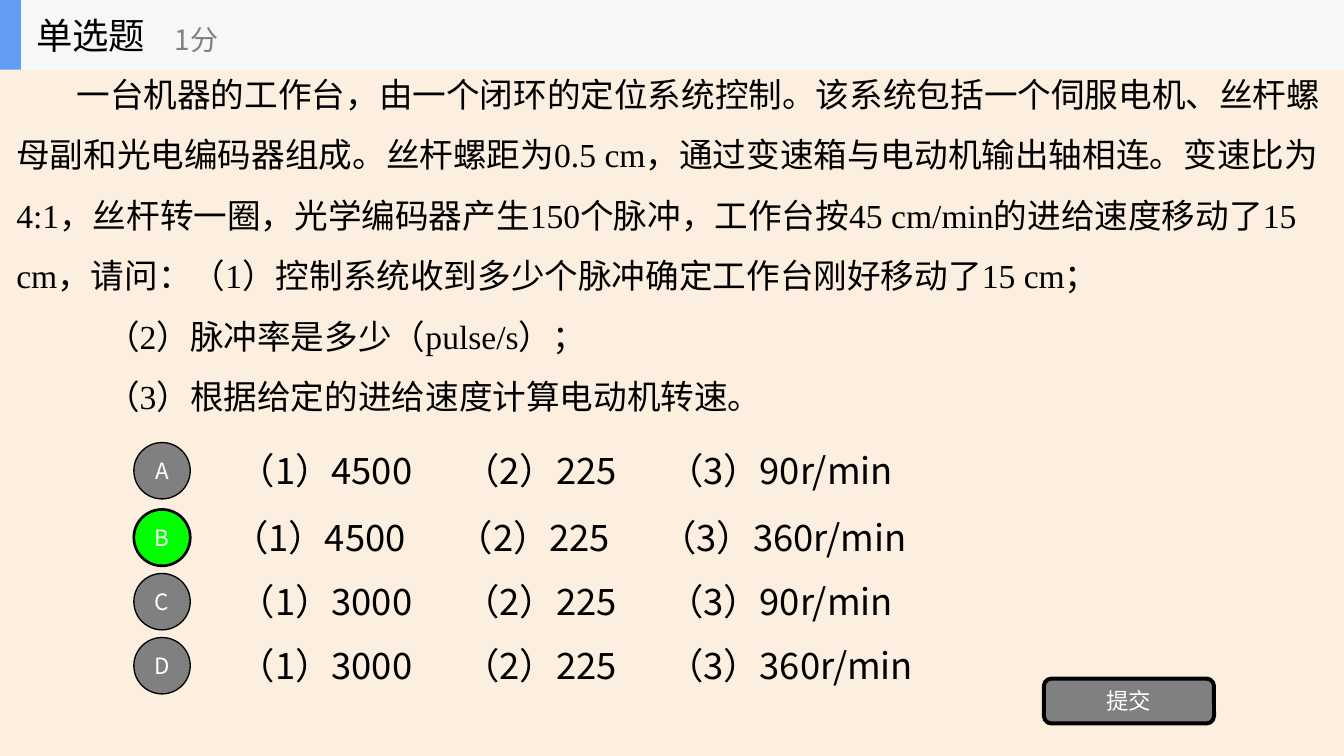
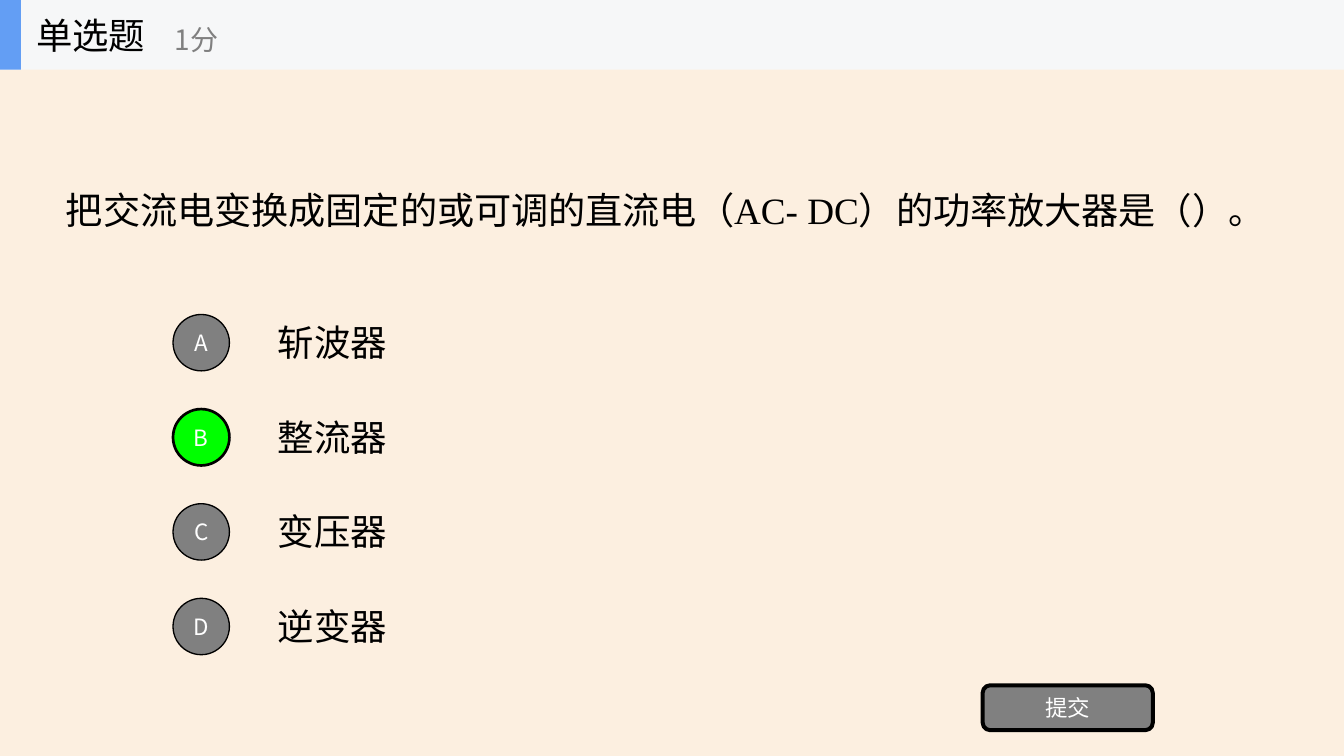
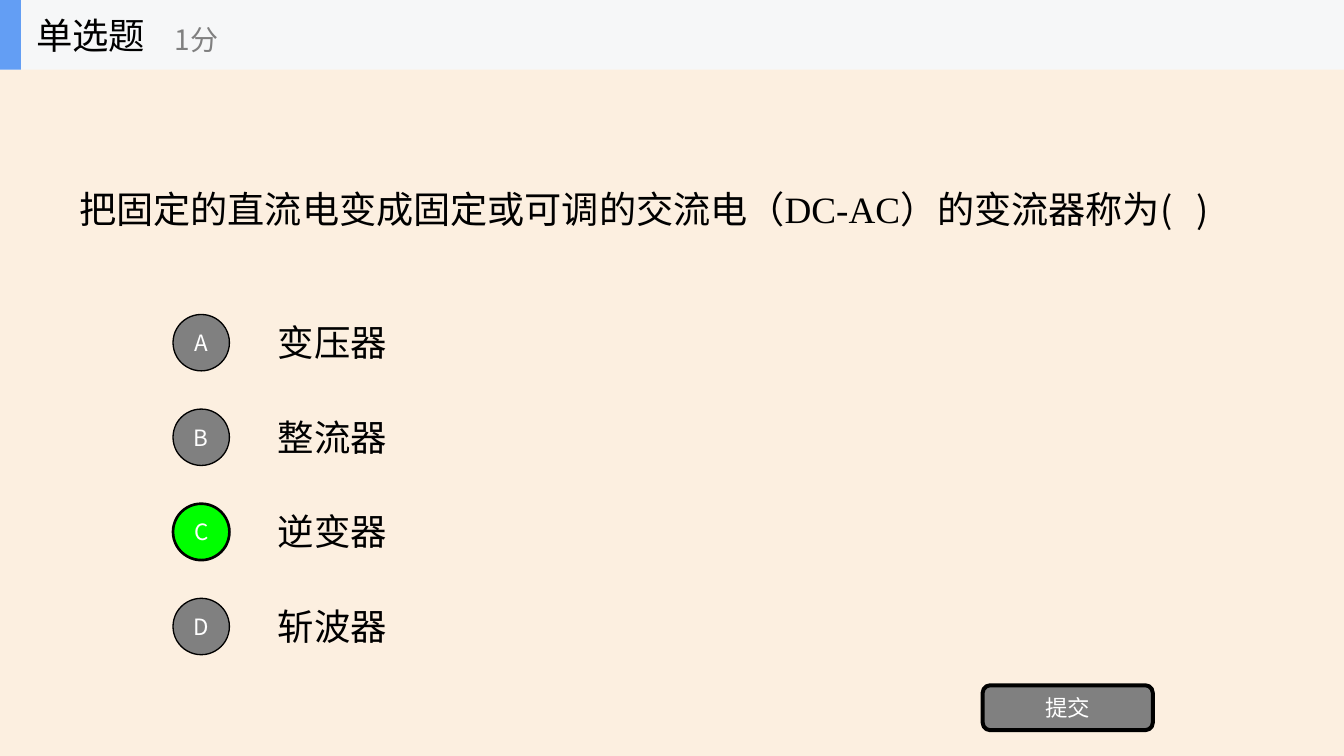
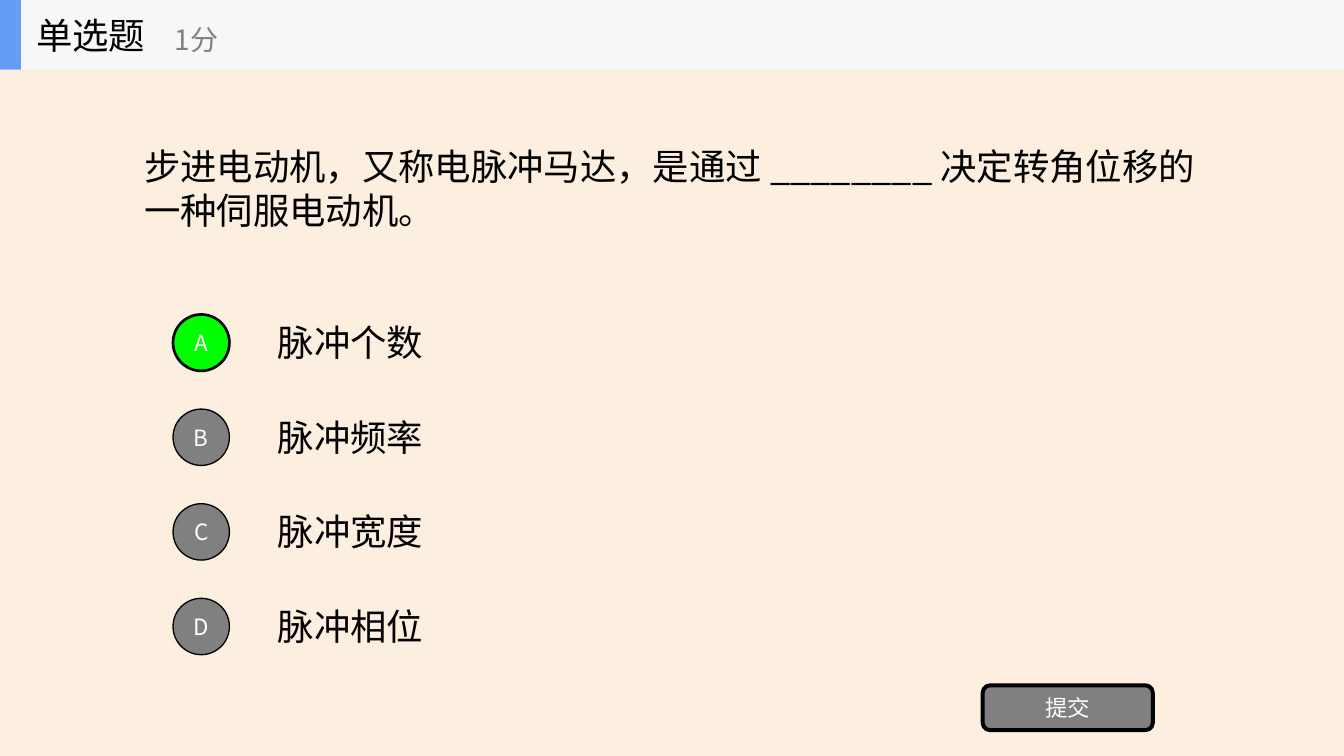
from pptx import Presentation
from pptx.dml.color import RGBColor as Rgb
from pptx.enum.shapes import MSO_SHAPE as Kind
from pptx.enum.text import MSO_ANCHOR as Anchor, MSO_AUTO_SIZE as Fit, PP_ALIGN as Align
from pptx.oxml.ns import qn
from pptx.util import Inches, Pt
from lxml.etree import SubElement as Sub

HUES = {"page": "FCEFE0", "band": "F6F7F8", "mark": "639EF4", "text": "000000",
        "grey": "808080", "right": "00FF00", "white": "FFFFFF"}
SANS, SERIF = "Noto Sans CJK SC", "Times New Roman"
WIDE, HIGH, BAND = 14.06, 7.91, 0.73
DOT, GAP, ROW = 0.59, 0.99, 0.74
BIG, MID, SMALL = 27.4, 21.1, 16.9

# Each question: box, paragraphs as (indent, runs), options, answer,
# option tops, dot left, text lefts, button place
QUIZ = [
    dict(box=(0.07, 1.17, 13.92, 2.58), lines=1.5, text=[
        (0.63, [("一台机器的工作台，由一个闭环的定位系统控制。该系统包括一个伺服电机、"
                 "丝杆螺母副和光电编码器组成。丝杆螺距为0.5 cm，通过变速箱与电动机输出轴相连。"
                 "变速比为4:1，丝杆转一圈，光学编码器产生150个脉冲，工作台按45 cm/min的进给速度"
                 "移动了15 cm，请问：（1）控制系统收到多少个脉冲确定工作台刚好移动了15 cm；",
                 25.3, SERIF)]),
        (0.94, [("（2）脉冲率是多少（pulse/s）；", 25.3, SERIF)]),
        (0.94, [("（3）根据给定的进给速度计算电动机转速。", 25.3, SERIF)])],
        picks=["（1）4500\t（2）225\t（3）90r/min", "（1）4500\t（2）225\t（3）360r/min",
               "（1）3000\t（2）225\t（3）90r/min", "（1）3000\t（2）225\t（3）360r/min"],
        right="B", tops=[4.63, 5.33, 6, 6.67], dot=1.4,
        lefts=[2.4, 2.33, 2.4, 2.4], send=(10.92, 7.1)),
    dict(box=(0.59, 0.96, 12.88, 2.47), text=[
        (0, [("把交流电变换成固定的或可调的直流电（AC- DC）的功率放大器是", 28, SERIF),
             ("（）。", BIG, SANS)])],
        picks=["斩波器", "整流器", "变压器", "逆变器"], right="B"),
    dict(box=(0.73, 0.95, 12.24, 2.47), text=[
        (0, [("把固定的直流电变成固定或可调的交流电（DC-AC）的变流器称为", 28, SERIF),
             ("(   )", BIG, SANS)])],
        picks=["变压器", "整流器", "逆变器", "斩波器"], right="C"),
    dict(box=(1.41, 0.73, 11.25, 2.47), text=[
        (0, [("步进电动机，又称电脉冲马达，是通过 ________ 决定转角位移的一种伺服电动机。",
              BIG, SANS)])],
        picks=["脉冲个数", "脉冲频率", "脉冲宽度", "脉冲相位"], right="A"),
]


def tint(name):
    return Rgb.from_string(HUES[name])


def place(item, x, y, w, h):
    item.left, item.top, item.width, item.height = map(Inches, (x, y, w, h))


def write(para, text, size, face=SANS, hue="text"):
    run = para.add_run()
    run.text = text
    font = run.font
    font.size, font.name = Pt(size), face
    font.color.rgb = tint(hue)
    Sub(font._element, qn("a:ea"), typeface=SANS)


def frame(item):
    body = item.text_frame
    body.word_wrap, body.auto_size = True, Fit.NONE
    body.vertical_anchor = Anchor.MIDDLE
    return body


def label(slide, box, text, size, hue="text", stops=()):
    item = slide.shapes.add_textbox(*map(Inches, box))
    para = frame(item).paragraphs[0]
    if stops:
        tabs = Sub(para._p.get_or_add_pPr(), qn("a:tabLst"))
        for stop in stops:
            Sub(tabs, qn("a:tab"), pos=str(Inches(stop)), algn="l")
    write(para, text, size, hue=hue)


def block(slide, kind, box, fill, line=0, text=""):
    item = slide.shapes.add_shape(kind, *map(Inches, box))
    item.shadow.inherit = False
    item.fill.solid()
    item.fill.fore_color.rgb = tint(fill)
    if line:
        item.line.color.rgb = tint("text")
        item.line.width = Pt(line)
    else:
        item.line.fill.background()
    if text:
        para = frame(item).paragraphs[0]
        para.alignment = Align.CENTER
        write(para, text, SMALL, hue="white")
    return item


def style(deck):
    """Set the page, title place and header bands on the shared layout."""
    base = deck.slide_layouts[1]
    base.background.fill.solid()
    base.background.fill.fore_color.rgb = tint("page")
    place(base.placeholders[0], 0.28, 0, 2.2, BAND)
    return base


def bands(slide, base):
    """Draw the header bands, then hand them to the layout."""
    for spot, (wide, hue) in enumerate([(WIDE, "band"), (0.22, "mark")], 2):
        item = block(slide, Kind.RECTANGLE, (0, 0, wide, BAND), hue)
        base.shapes.element.insert(spot, item.element)


def head(slide):
    para = frame(slide.shapes.title).paragraphs[0]
    para.alignment = Align.LEFT
    write(para, "单选题", BIG)
    label(slide, (1.73, 0.12, 2.64, DOT), "1分", MID, "grey")


def ask(slide, box, text, lines):
    item = slide.placeholders[1]
    place(item, *box)
    body = frame(item)
    for at, (indent, runs) in enumerate(text):
        para = body.add_paragraph() if at else body.paragraphs[0]
        props = para._p.get_or_add_pPr()
        props.set("marL", "0")
        props.set("indent", str(Inches(indent)))
        Sub(props, qn("a:buNone"))
        para.space_before = Pt(0)
        para.line_spacing = lines
        for run in runs:
            write(para, *run)


def choose(slide, picks, right, tops, dot, lefts):
    for key, pick, top, left in zip("ABCD", picks, tops, lefts):
        stops = (2.35, 4.48) if "\t" in pick else ()
        label(slide, (left, top - 0.08, 9.84, ROW), pick, BIG, stops=stops)
        hue, line = ("right", 2) if key == right else ("grey", 1)
        block(slide, Kind.OVAL, (dot, top, DOT, DOT), hue, line, key)


def build(slide, box, text, picks, right, lines=1.0, tops=None, dot=1.81,
          lefts=(2.81,) * 4, send=(10.28, 7.17)):
    tops = tops or [3.29 + GAP * n for n in range(4)]
    head(slide)
    ask(slide, box, text, lines)
    choose(slide, picks, right, tops, dot, lefts)
    block(slide, Kind.ROUNDED_RECTANGLE, (*send, 1.78, 0.47), "grey", 3, "提交")


def main():
    deck = Presentation()
    deck.slide_width, deck.slide_height = Inches(WIDE), Inches(HIGH)
    base = style(deck)
    for at, quiz in enumerate(QUIZ):
        slide = deck.slides.add_slide(base)
        if at == 0:
            bands(slide, base)
        build(slide, **quiz)
    deck.save("out.pptx")


if __name__ == "__main__":
    main()
